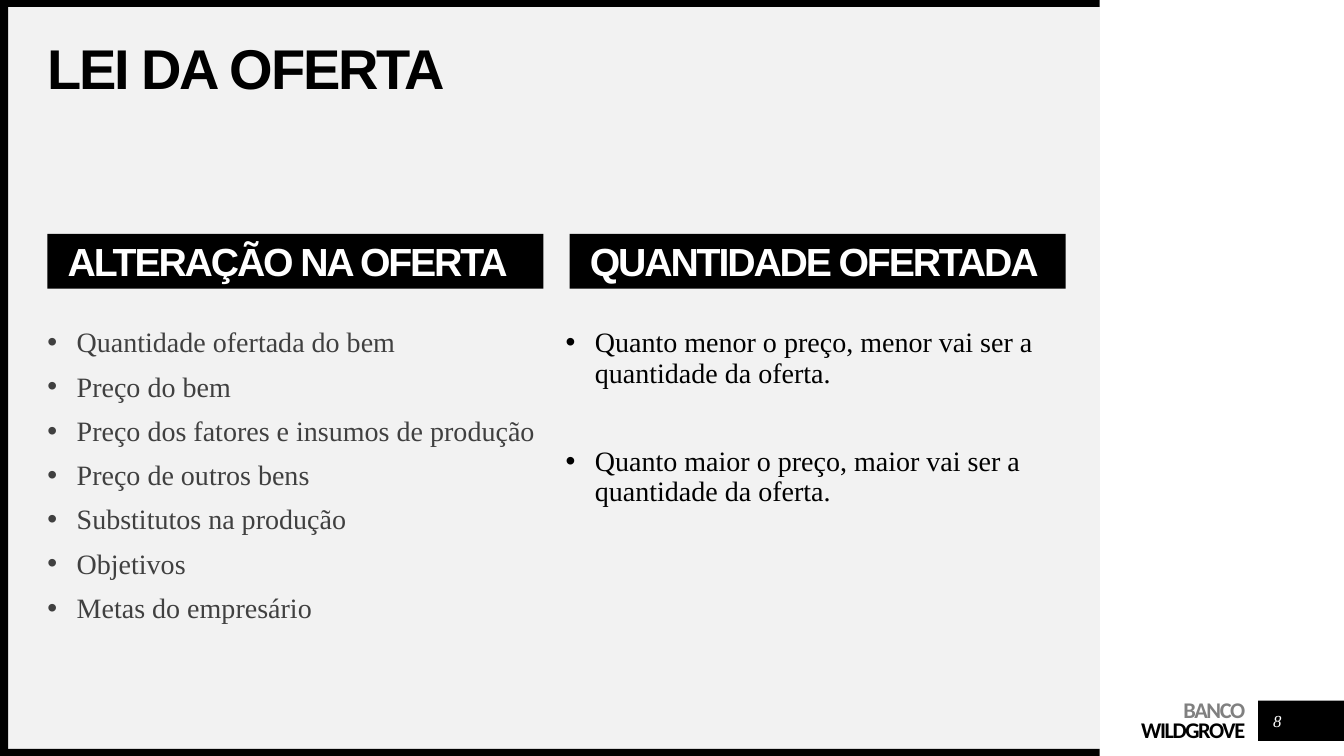
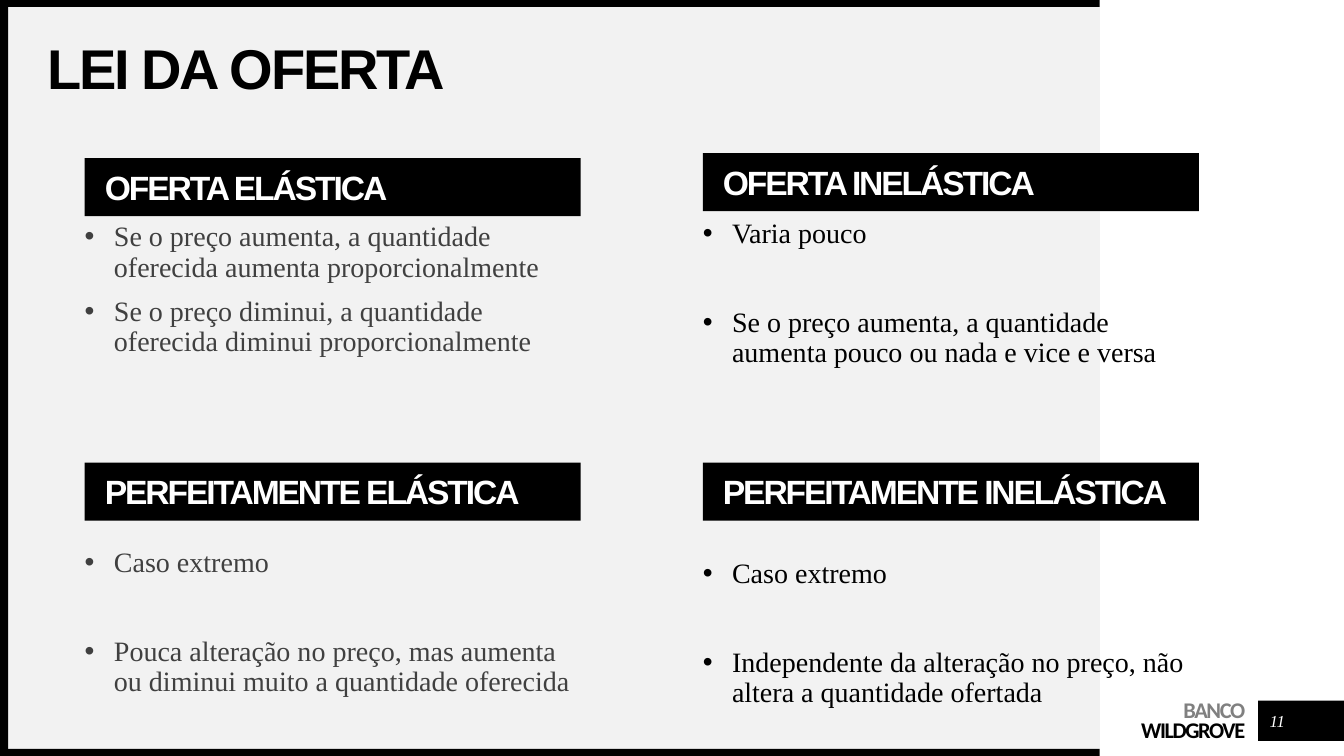
from lxml import etree
from pptx import Presentation
from pptx.dml.color import RGBColor
from pptx.enum.shapes import MSO_SHAPE
from pptx.enum.text import MSO_ANCHOR, PP_ALIGN
from pptx.oxml.ns import qn
from pptx.util import Inches, Pt

RECT = MSO_SHAPE.RECTANGLE
TOP, MID = MSO_ANCHOR.TOP, MSO_ANCHOR.MIDDLE
LEFT, MIDST, RIGHT = PP_ALIGN.LEFT, PP_ALIGN.CENTER, PP_ALIGN.RIGHT
WIDE, HIGH = Inches(13.33), Inches(7.5)
HUE = {"ink": "000000", "paper": "FFFFFF", "panel": "F2F2F2",
       "text": "404040", "mute": "808080"}
HEAD, BODY, MARK = "Arial", "Times New Roman", "Calibri"
EDGE, THIN, SIDE = 81.83, 0.93, 0.6
MARGIN, COL = 3.53, 36.91
STEP, LINE = 10, 31.6


def place(at):
    """Turn percentages of the slide into left, top, width and height."""
    return [int(part * size / 100) for part, size in zip(at, (WIDE, HIGH) * 2)]


def rgb(name):
    """Look up a named colour."""
    return RGBColor.from_string(HUE[name])


def block(slide, at, fill):
    """Draw a plain filled rectangle."""
    shape = slide.shapes.add_shape(RECT, *place(at))
    shape.shadow.inherit = False
    shape.fill.solid()
    shape.fill.fore_color.rgb = rgb(fill)
    shape.line.fill.background()
    return shape


def bullet(para):
    """Give a paragraph a hanging round bullet."""
    props = para._p.get_or_add_pPr()
    props.set("marL", str(Inches(0.29)))
    props.set("indent", str(-Inches(0.29)))
    etree.SubElement(props, qn("a:buFont")).set("typeface", HEAD)
    etree.SubElement(props, qn("a:buChar")).set("char", "•")


def style(para, text, size=20, font=BODY, hue="ink", bold=False, slant=False,
          track=0, align=LEFT, space=0.9, before=0, dot=False):
    """Write one formatted paragraph."""
    para.alignment, para.line_spacing = align, space
    para.space_before = Pt(before)
    if dot:
        bullet(para)
    run = para.add_run()
    run.text = text
    face = run.font
    face.size, face.name, face.bold, face.italic = Pt(size), font, bold, slant
    face.color.rgb = rgb(hue)
    if track:
        run._r.get_or_add_rPr().set("spc", str(int(track * 100)))


def put(slide, at, lines, fill=None, anchor=TOP, inset=(0, 0), **form):
    """Place text lines, each a string or a string with its own format."""
    if fill:
        shape = block(slide, at, fill)
    else:
        shape = slide.shapes.add_textbox(*place(at))
    frame = shape.text_frame
    frame.word_wrap, frame.vertical_anchor = True, anchor
    frame.margin_left, frame.margin_top = map(Inches, inset)
    frame.margin_right = frame.margin_bottom = 0
    for i, line in enumerate(lines):
        text, own = (line, {}) if isinstance(line, str) else line
        para = frame.add_paragraph() if i else frame.paragraphs[0]
        style(para, text, **{**form, **own})


def apart(text, rows):
    """Set a line lower by a number of rows."""
    return text, {"before": STEP + rows * LINE}


def base(deck, title, page):
    """Add a slide with the shared panel, bands, title and footer."""
    slide = deck.slides.add_slide(deck.slide_layouts[6])
    block(slide, (SIDE, THIN, EDGE - SIDE, 100 - 2 * THIN), "panel")
    for top in (0, 100 - THIN):
        block(slide, (0, top, EDGE, THIN), "ink")
    block(slide, (0, 0, SIDE, 100), "ink")
    block(slide, (93.62, 92.67, 6.38, 5.33), "ink")
    put(slide, (79, 92.53, 13.65, 5.87),
        [("BANCO", {"hue": "mute"}), "WILDGROVE"], inset=(0, 0.04),
        size=16, font=MARK, bold=True, track=-1, align=RIGHT, space=Pt(14))
    put(slide, (93.92, 93.33, 2.25, 4), [page], anchor=MID, size=12,
        hue="paper", slant=True, align=MIDST, space=1.0)
    put(slide, (MARGIN, 6.27, 75.47, 6.27), [title], anchor=MID, size=40,
        font=HEAD, bold=True, track=-1.5)
    return slide


def banner(slide, left, top, text, size, high):
    """Draw a black heading bar."""
    put(slide, (left, top, COL, high), [text], fill="ink", anchor=MID,
        inset=(0.2, 0.04), size=size, font=HEAD, hue="paper", bold=True,
        track=-1.5, before=STEP)


def points(slide, left, top, high, lines, hue):
    """Write a bulleted column."""
    put(slide, (left, top, COL, high), lines, hue=hue, before=STEP, dot=True)


def change(deck):
    """Build the slide on changes in supply."""
    slide = base(deck, "LEI DA OFERTA", "8")
    for left, text in ((MARGIN, "ALTERAÇÃO NA OFERTA"),
                       (42.39, "QUANTIDADE OFERTADA")):
        banner(slide, left, 30.93, text, 28, 7.27)
    points(slide, MARGIN, 43.47, 36.8, [
        "Quantidade ofertada do bem",
        "Preço do bem",
        "Preço dos fatores e insumos de produção",
        "Preço de outros bens",
        "Substitutos na produção",
        "Objetivos",
        "Metas do empresário"], "text")
    points(slide, 42.08, 43.47, 36.8, [
        "Quanto menor o preço, menor vai ser a quantidade da oferta.",
        apart("Quanto maior o preço, maior vai ser a quantidade da oferta.", 1),
    ], "ink")


def stretch(deck):
    """Build the slide on the elasticity of supply."""
    slide = base(deck, "LEI DA OFERTA", "11")
    near, far = 6.3, 52.29
    points(slide, near, 29.47, 67.87, [
        "Se o preço aumenta, a quantidade oferecida aumenta proporcionalmente",
        "Se o preço diminui, a quantidade oferecida diminui proporcionalmente",
        apart("Caso extremo", 4),
        apart("Pouca alteração no preço, mas aumenta ou diminui muito "
              "a quantidade oferecida", 1)], "text")
    points(slide, far, 29.07, 67.87, [
        "Varia pouco",
        apart("Se o preço aumenta, a quantidade aumenta pouco ou nada "
              "e vice e versa", 1),
        apart("Caso extremo", 4),
        apart("Independente da alteração no preço, não altera "
              "a quantidade ofertada", 1)], "ink")
    for left, top, text in ((near, 20.93, "OFERTA ELÁSTICA"),
                            (far, 20.27, "OFERTA INELÁSTICA"),
                            (near, 61.2, "PERFEITAMENTE ELÁSTICA"),
                            (far, 61.2, "PERFEITAMENTE INELÁSTICA")):
        banner(slide, left, top, text, 24, 7.67)


def main():
    """Build and save the deck."""
    deck = Presentation()
    deck.slide_width, deck.slide_height = WIDE, HIGH
    change(deck)
    stretch(deck)
    deck.save("out.pptx")


if __name__ == "__main__":
    main()
